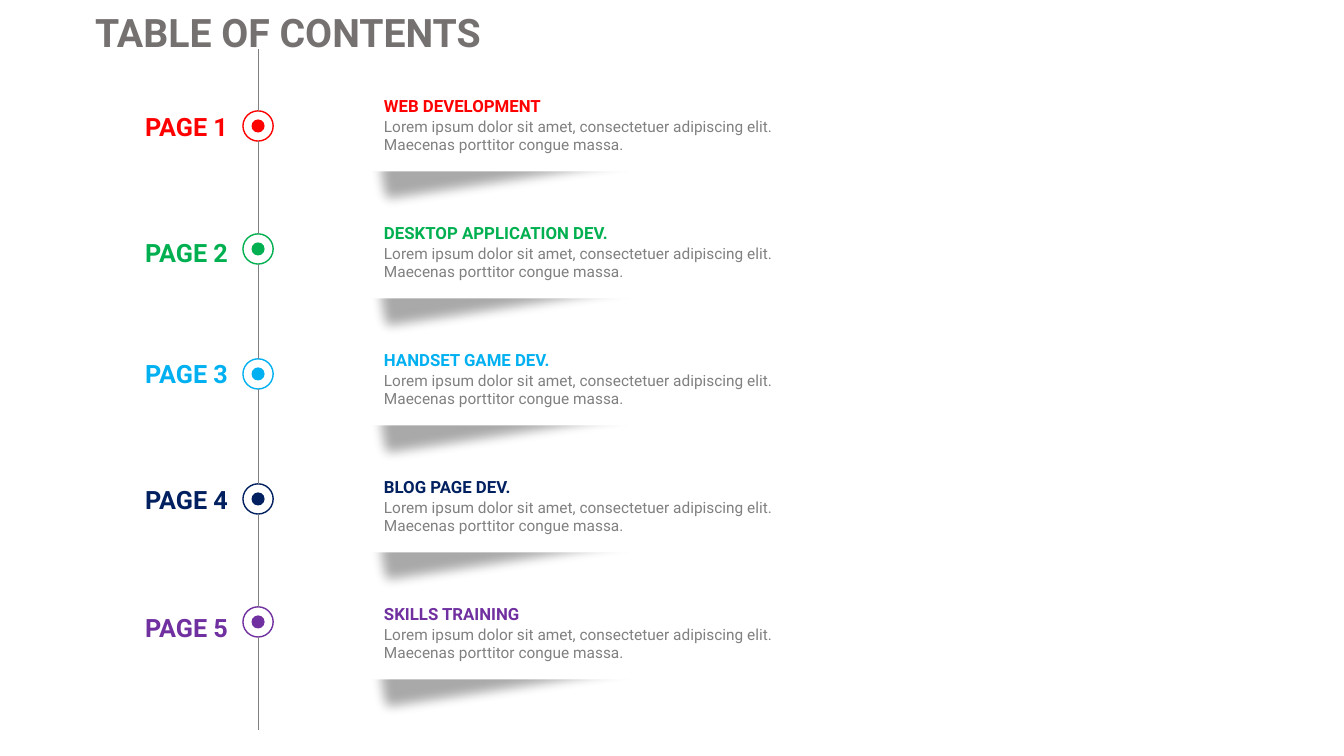
"""Build a table of contents slide with five pages on a vertical timeline."""
from lxml import etree
from pptx import Presentation
from pptx.dml.color import RGBColor
from pptx.enum.shapes import MSO_CONNECTOR, MSO_SHAPE
from pptx.enum.text import MSO_AUTO_SIZE, PP_ALIGN
from pptx.oxml.ns import qn
from pptx.util import Inches, Pt

LINE = MSO_CONNECTOR.STRAIGHT
RECT, ROUND, OVAL = MSO_SHAPE.RECTANGLE, MSO_SHAPE.ROUNDED_RECTANGLE, MSO_SHAPE.OVAL
GROW = MSO_AUTO_SIZE.SHAPE_TO_FIT_TEXT
LEFT, MID, RIGHT = PP_ALIGN.LEFT, PP_ALIGN.CENTER, PP_ALIGN.RIGHT

THEME = {
    "font": "Roboto", "title": "767171", "body": "808080", "rule": "808080",
    "card": "FFFFFF", "shade": "000000",
    "big": 28, "page": 18, "head": 12, "small": 11,
}
BODY = ("Lorem ipsum dolor sit amet, consectetuer adipiscing elit. "
        "Maecenas porttitor congue massa.")
PAGES = [
    ("WEB DEVELOPMENT", "FF0000", 1.1, 1.06),
    ("DESKTOP APPLICATION DEV.", "00B050", 2.32, 2.31),
    ("HANDSET GAME DEV.", "00B0F0", 3.56, 3.51),
    ("BLOG PAGE DEV.", "002060", 4.8, 4.76),
    ("SKILLS TRAINING", "7030A0", 6.02, 6.03),
]
TOP, STEP = 0.83, 1.26
AXIS, RING, DOT = 2.56, 0.3, 0.13
START, END = 0.49, 7.24

deck = Presentation()
deck.slide_width, deck.slide_height = Inches(13.33), Inches(7.5)
slide = deck.slides.add_slide(deck.slide_layouts[6])
shapes = slide.shapes


def write(text, box, size, color, bold=True, align=LEFT):
    """Add a text box with one paragraph."""
    frame = shapes.add_textbox(*map(Inches, box)).text_frame
    frame.word_wrap = True
    frame.auto_size = GROW
    para = frame.paragraphs[0]
    para.text = text
    para.alignment = align
    para.font.name = THEME["font"]
    para.font.size = Pt(THEME[size])
    para.font.bold = bold
    para.font.color.rgb = RGBColor.from_string(color)


def draw(kind, box, fill=None, line=None):
    """Add a flat shape with a fill, an outline or both."""
    shape = shapes.add_shape(kind, *map(Inches, box))
    shape.shadow.inherit = False
    if fill:
        shape.fill.solid()
        shape.fill.fore_color.rgb = RGBColor.from_string(fill)
    else:
        shape.fill.background()
    if line:
        shape.line.color.rgb = RGBColor.from_string(line)
        shape.line.width = Pt(1)
    else:
        shape.line.fill.background()
    return shape


write("TABLE OF CONTENTS", (0.69, 0.03, 4.33, 0.57), "big", THEME["title"], align=MID)

for row, (head, color, ring, label) in enumerate(PAGES):
    top = TOP + row * STEP
    shade = draw(RECT, (3.58, top + 0.39, 2.89, 0.78), THEME["shade"])
    shade.rotation = 351.4
    props = shade.element.spPr
    tint = props.find(qn("a:solidFill")).find(qn("a:srgbClr"))
    etree.SubElement(tint, qn("a:alpha"), val="34000")
    etree.SubElement(props.find(qn("a:effectLst")), qn("a:softEdge"), rad=str(Pt(10)))

    card = draw(ROUND, (3.54, top, 4.71, 0.87), THEME["card"])
    card.adjustments[0] = 0.24
    write(head, (3.71, top + 0.07, 2.95, 0.3), "head", color)
    write(BODY, (3.71, top + 0.28, 4.33, 0.47), "small", THEME["body"], bold=False)

    draw(OVAL, (AXIS - RING / 2, ring, RING, RING), line=color)
    draw(OVAL, (AXIS - DOT / 2, ring + (RING - DOT) / 2, DOT, DOT), fill=color)
    write(f"PAGE {row + 1}", (1.26, label, 1.1, 0.4), "page", color, align=RIGHT)

rings = [page[2] for page in PAGES]
heads = [START] + [ring + RING for ring in rings]
for head, tail in zip(heads, rings + [END]):
    rule = shapes.add_connector(LINE, *map(Inches, (AXIS, head, AXIS, tail)))
    rule.line.color.rgb = RGBColor.from_string(THEME["rule"])
    rule.line.width = Pt(0.5)
    etree.SubElement(rule.element.spPr, qn("a:effectLst"))

deck.save("out.pptx")
